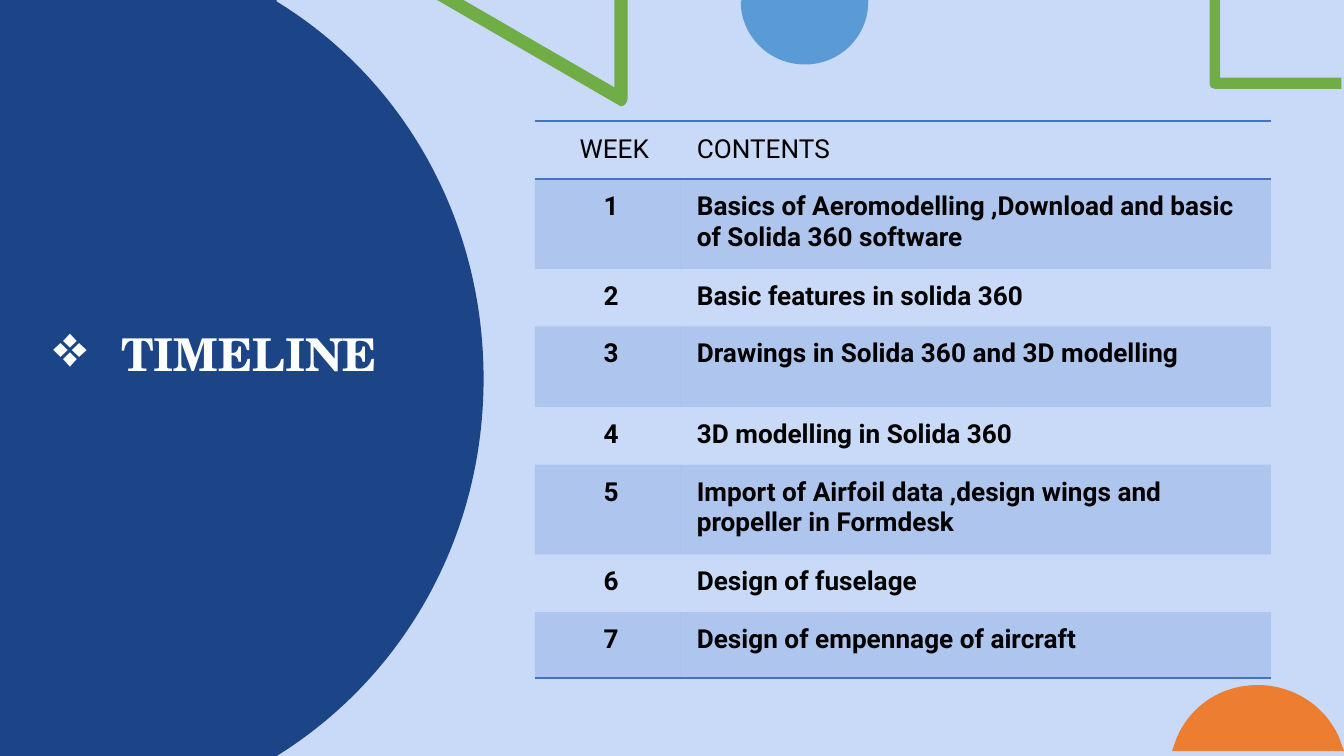
from lxml.etree import SubElement
from pptx import Presentation
from pptx.dml.color import RGBColor
from pptx.enum.shapes import MSO_SHAPE
from pptx.enum.text import MSO_ANCHOR, PP_ALIGN
from pptx.oxml import parse_xml
from pptx.oxml.ns import qn
from pptx.util import Cm, Pt

SLIDE_WIDTH, SLIDE_HEIGHT = 25.4, 14.29
PALE, NAVY, BLUE, ORANGE, GREEN = "C9DAF8", "1C4587", "5B9BD5", "ED7D31", "70AD47"
ACCENT, WHITE, BLACK = "4472C4", "FFFFFF", "000000"
NO_TABLE_STYLE = "{2D5ABB26-0587-4C30-8999-92F81FD0307C}"
DRAWING_NS = 'xmlns:a="http://schemas.openxmlformats.org/drawingml/2006/main"'

TITLE = "TIMELINE"
HEADER = (" WEEK", "CONTENTS")
WEEKS = [
    "Basics of Aeromodelling ,Download and basic of Solida 360 software",
    "Basic features in solida 360",
    "Drawings in Solida 360 and 3D modelling",
    "3D modelling in Solida 360",
    "Import of Airfoil data ,design wings and propeller in Formdesk",
    "Design of fuselage",
    "Design of empennage of aircraft",
]
COLUMN_WIDTHS = (2.76, 11.15)
ROW_HEIGHTS = (1.09, 1.7, 1.09, 1.52, 1.09, 1.7, 1.09, 1.25)

# Outlines in cm: a pair is a line to a point, six numbers are a Bezier curve.
NAVY_PANEL = [(0, 0), (5.23, 0), (5.23, 0.03), (7.59, 1.47, 9.14, 4.11, 9.14, 7.16),
              (9.14, 10.19, 7.59, 12.83, 5.23, 14.29), (0, 14.29)]
BLUE_DISC = [(16.41, 0), (14.02, 0), (14, 0.03), (14, 0.69, 14.55, 1.22, 15.21, 1.22),
             (15.88, 1.22, 16.41, 0.69, 16.41, 0.03)]
ORANGE_DISC = [(23.77, 12.95), (23.06, 12.95, 22.48, 13.36, 22.23, 13.97),
               (22.15, 14.2), (25.4, 14.2), (25.32, 13.97),
               (25.07, 13.36, 24.46, 12.95, 23.77, 12.95)]
GREEN_TRIANGLE = [(11.86, 0), (11.61, 0), (11.61, 1.65), (8.76, 0), (8.26, 0),
                  (11.68, 1.98), (11.71, 1.98, 11.71, 2.01, 11.73, 2.01),
                  (11.81, 2.01, 11.86, 1.93, 11.86, 1.88)]
GREEN_CORNER = [(22.96, 1.68), (25.35, 1.68), (25.35, 1.47), (23.06, 1.47), (23.06, 0),
                (22.86, 0), (22.86, 1.57), (22.86, 1.65, 22.91, 1.68, 22.96, 1.68)]


def rgb(color):
    return RGBColor.from_string(color)


def paint(shape, color):
    shape.shadow.inherit = False
    shape.fill.solid()
    shape.fill.fore_color.rgb = rgb(color)
    shape.line.fill.background()


def add_outline(slide, outline, color):
    """Build the outline through its end points, then bend the curved segments."""
    ends = [(Cm(segment[-2]), Cm(segment[-1])) for segment in outline]
    builder = slide.shapes.build_freeform(*ends[0])
    builder.add_line_segments(ends[1:], close=False)
    shape = builder.convert_to_shape()
    lines = list(shape._element.iter(qn("a:lnTo")))
    for line, segment in zip(lines, outline[1:]):
        if len(segment) == 6:
            curve = parse_xml(f"<a:cubicBezTo {DRAWING_NS}/>")
            for x, y in zip(segment[::2], segment[1::2]):
                SubElement(curve, qn("a:pt"), x=str(Cm(x) - shape.left),
                           y=str(Cm(y) - shape.top))
            line.getparent().replace(line, curve)
    start = next(shape._element.iter(qn("a:moveTo")))
    SubElement(start.getparent(), qn("a:close"))
    paint(shape, color)


def style_text(paragraph, font_name, size, color, bold):
    font = paragraph.runs[0].font
    font.name, font.size, font.bold = font_name, Pt(size), bold
    font.color.rgb = rgb(color)


def add_title(slide):
    box = slide.shapes.add_textbox(Cm(0.76), Cm(4.5), Cm(7.62), Cm(4.62))
    frame = box.text_frame
    frame.word_wrap = True
    frame.vertical_anchor = MSO_ANCHOR.MIDDLE
    frame.text = TITLE
    paragraph = frame.paragraphs[0]
    properties = paragraph._p.get_or_add_pPr()
    properties.set("marL", str(Cm(1.28)))
    properties.set("indent", str(Cm(-1.32)))
    bullet_color = SubElement(properties, qn("a:buClr"))
    SubElement(bullet_color, qn("a:srgbClr"), val=WHITE)
    SubElement(properties, qn("a:buSzPct"), val="130000")
    SubElement(properties, qn("a:buChar"), char="❖")
    paragraph.line_spacing = 0.7
    style_text(paragraph, "TeX Gyre Schola", 24.2, WHITE, True)


def add_border(cell, side):
    """Draw a 1 pt rule on one side; borders come before the fill."""
    cell._tc.get_or_add_tcPr().insert(0, parse_xml(
        f'<a:{side} {DRAWING_NS} w="{Pt(1)}"><a:solidFill>'
        f'<a:srgbClr val="{ACCENT}"/></a:solidFill></a:{side}>'))


def fill_cell(cell, banded):
    if not banded:
        cell.fill.background()
        return
    cell.fill.solid()
    cell.fill.fore_color.rgb = rgb(ACCENT)
    band_color = cell._tc.tcPr.find(".//" + qn("a:srgbClr"))
    SubElement(band_color, qn("a:alpha"), val="20000")


def add_timeline(slide):
    rows = [HEADER] + [(str(week), topic) for week, topic in enumerate(WEEKS, 1)]
    table = slide.shapes.add_table(
        len(rows), len(HEADER), Cm(10.11), Cm(2.29),
        Cm(sum(COLUMN_WIDTHS)), Cm(sum(ROW_HEIGHTS))).table
    table.horz_banding = False
    table._tbl.tblPr.find(qn("a:tableStyleId")).text = NO_TABLE_STYLE
    for column, width in zip(table.columns, COLUMN_WIDTHS):
        column.width = Cm(width)
    for row_index, (row, height) in enumerate(zip(rows, ROW_HEIGHTS)):
        table.rows[row_index].height = Cm(height)
        is_header = row_index == 0
        for column_index, content in enumerate(row):
            cell = table.cell(row_index, column_index)
            cell.margin_left, cell.margin_right = Cm(0.3), Cm(0.18)
            cell.margin_top = cell.margin_bottom = Cm(0.23)
            cell.vertical_anchor = MSO_ANCHOR.MIDDLE if is_header else MSO_ANCHOR.TOP
            cell.text_frame.text = content
            paragraph = cell.text_frame.paragraphs[0]
            paragraph.alignment = PP_ALIGN.LEFT if column_index else PP_ALIGN.CENTER
            style_text(paragraph, "Roboto", 14, BLACK, not is_header)
            fill_cell(cell, row_index % 2 == 1)
            if is_header or row_index == len(rows) - 1:
                add_border(cell, "lnB")
            if is_header:
                add_border(cell, "lnT")


def main():
    presentation = Presentation()
    presentation.slide_width = Cm(SLIDE_WIDTH)
    presentation.slide_height = Cm(SLIDE_HEIGHT)
    slide = presentation.slides.add_slide(presentation.slide_layouts[6])
    backdrop = slide.shapes.add_shape(
        MSO_SHAPE.RECTANGLE, 0, 0, Cm(SLIDE_WIDTH), Cm(SLIDE_HEIGHT))
    paint(backdrop, PALE)
    add_outline(slide, NAVY_PANEL, NAVY)
    add_title(slide)
    for outline, color in ((BLUE_DISC, BLUE), (ORANGE_DISC, ORANGE),
                           (GREEN_TRIANGLE, GREEN), (GREEN_CORNER, GREEN)):
        add_outline(slide, outline, color)
    add_timeline(slide)
    presentation.save("out.pptx")


if __name__ == "__main__":
    main()
